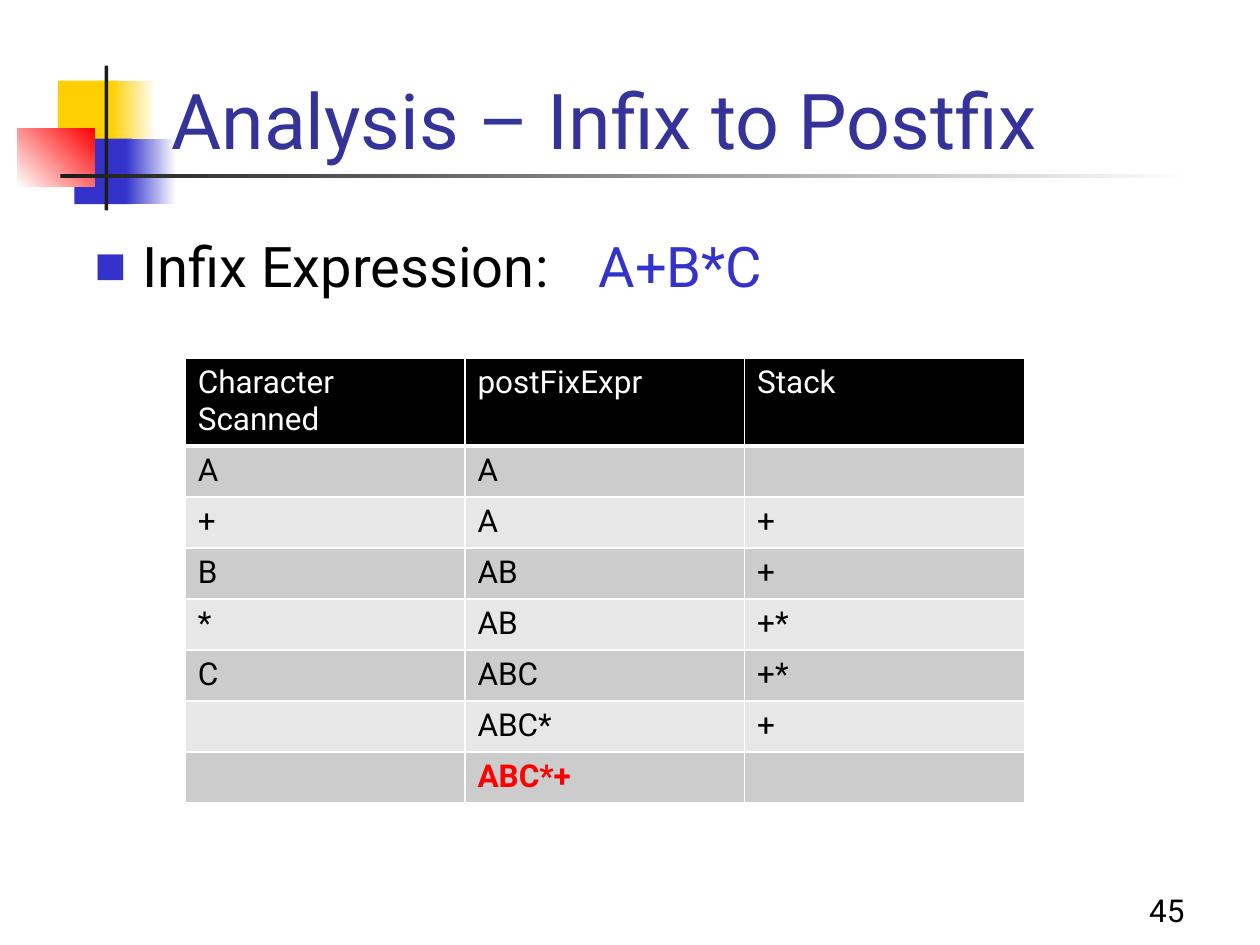
from lxml import etree
from pptx import Presentation
from pptx import util as u
from pptx.dml.color import RGBColor
from pptx.enum import shapes, text
from pptx.oxml import ns

# Content
TITLE = "Analysis – Infix to Postfix"
LABEL, EXPR = "Infix Expression\t:\t", "A+B*C"
PAGE = "45"
HEAD = ("Character Scanned", "postFixExpr", "Stack")
STEPS = [
    ("A", "A", ""),
    ("+", "A", "+"),
    ("B", "AB", "+"),
    ("*", "AB", "+*"),
    ("C", "ABC", "+*"),
    ("", "ABC*", "+"),
    ("", "ABC*+", ""),
]


class Theme:
    font = "Roboto"
    title, body, small = 44, 32, 18
    white, black, dark = "FFFFFF", "000000", "1C1C1C"
    gold, blue, red, navy = "FFCF01", "3333CC", "FF0000", "333399"
    bands = ("CCCCCC", "E7E7E7")


# Ornament: box in inches, colours (two make a gradient), angle
ORNAMENT = [
    ((0.46, 0.64, 0.48, 0.52), (Theme.gold,), 0),
    ((0.88, 0.64, 0.36, 0.52), (Theme.gold, Theme.white), 0),
    ((0.59, 1.1, 0.46, 0.52), (Theme.blue,), 0),
    ((1, 1.1, 0.4, 0.52), (Theme.blue, Theme.white), 0),
    ((0.14, 1.02, 0.61, 0.46), (Theme.white, Theme.red), 45),
    ((0.83, 0.52, 0.03, 1.15), (Theme.dark,), 0),
    ((0.48, 1.38, 9, 0.03), (Theme.dark, Theme.white), 0),
]


def rgb(code):
    return RGBColor.from_string(code)


def place(shape, box):
    shape.left, shape.top, shape.width, shape.height = map(u.Inches, box)


def add_run(par, words, size, color, bold=False):
    run = par.add_run()
    run.text = words
    run.font.name, run.font.size = Theme.font, u.Pt(size)
    run.font.bold, run.font.color.rgb = bold, rgb(color)


def add_node(parent, tag, **attrs):
    return etree.SubElement(parent, ns.qn(tag), attrs)


def add_block(slide, box, colors, angle):
    block = slide.shapes.add_shape(
        shapes.MSO_SHAPE.RECTANGLE, *map(u.Inches, box))
    block.shadow.inherit = False
    block.line.fill.background()
    if len(colors) == 1:
        block.fill.solid()
        block.fill.fore_color.rgb = rgb(colors[0])
        return
    block.fill.gradient()
    block.fill.gradient_angle = angle
    for stop, color, spot in zip(block.fill.gradient_stops, colors, (0, 1)):
        stop.color.rgb, stop.position = rgb(color), spot


def add_bullet(par):
    props = par._p.get_or_add_pPr()
    props.set("marL", str(u.Inches(0.38)))
    props.set("indent", str(-u.Inches(0.38)))
    add_node(add_node(props, "a:buClr"), "a:srgbClr", val=Theme.blue)
    add_node(props, "a:buSzPct", val="60000")
    add_node(props, "a:buFont", typeface=Theme.font)
    add_node(props, "a:buChar", char="■")


def style_cell(cell, fill, base):
    props = cell._tc.get_or_add_tcPr()
    for side in "LRTB":
        width = u.Pt(3 if side == "B" and base else 1)
        line = add_node(props, "a:ln" + side, w=str(width))
        add_node(add_node(line, "a:solidFill"), "a:srgbClr", val=Theme.white)
    cell.fill.solid()
    cell.fill.fore_color.rgb = rgb(fill)


def add_steps(slide):
    rows = [HEAD] + STEPS
    grid = slide.shapes.add_table(
        len(rows), len(HEAD), *map(u.Inches, (1.47, 2.84, 6.66, 3.24))).table
    for r, row in enumerate(rows):
        head, last = r == 0, r == len(rows) - 1
        fill = Theme.black if head else Theme.bands[(r - 1) % 2]
        ink = Theme.white if head else Theme.red if last else Theme.black
        for c, words in enumerate(row):
            cell = grid.cell(r, c)
            style_cell(cell, fill, head)
            if words:
                add_run(cell.text_frame.paragraphs[0], words,
                        Theme.small, ink, last)


def main():
    deck = Presentation()
    deck.slide_width, deck.slide_height = u.Inches(10), u.Inches(7.5)
    slide = deck.slides.add_slide(deck.slide_layouts[1])
    title, body = slide.placeholders

    # Ornament, kept behind the text
    for item in ORNAMENT:
        add_block(slide, *item)
    for holder in (title, body):
        slide.shapes._spTree.append(holder._element)

    # Title
    place(title, (1.26, 0.11, 8.52, 1.25))
    title.text_frame.vertical_anchor = text.MSO_ANCHOR.BOTTOM
    par = title.text_frame.paragraphs[0]
    par.alignment = text.PP_ALIGN.LEFT
    add_run(par, TITLE, Theme.title, Theme.navy)

    # Expression
    place(body, (0.65, 1.79, 9.14, 4.91))
    par = body.text_frame.paragraphs[0]
    par.space_before = u.Pt(0.2 * Theme.body)
    add_bullet(par)
    add_run(par, LABEL, Theme.body, Theme.black)
    add_run(par, EXPR, Theme.body, Theme.blue)

    # Page number
    page = slide.shapes.add_textbox(*map(u.Inches, (7.42, 6.92, 2.08, 0.5)))
    page.text_frame.word_wrap = True
    page.text_frame.vertical_anchor = text.MSO_ANCHOR.BOTTOM
    par = page.text_frame.paragraphs[0]
    par.alignment = text.PP_ALIGN.RIGHT
    add_run(par, PAGE, Theme.small, Theme.black)

    # Scan steps
    add_steps(slide)
    deck.save("out.pptx")


if __name__ == "__main__":
    main()
